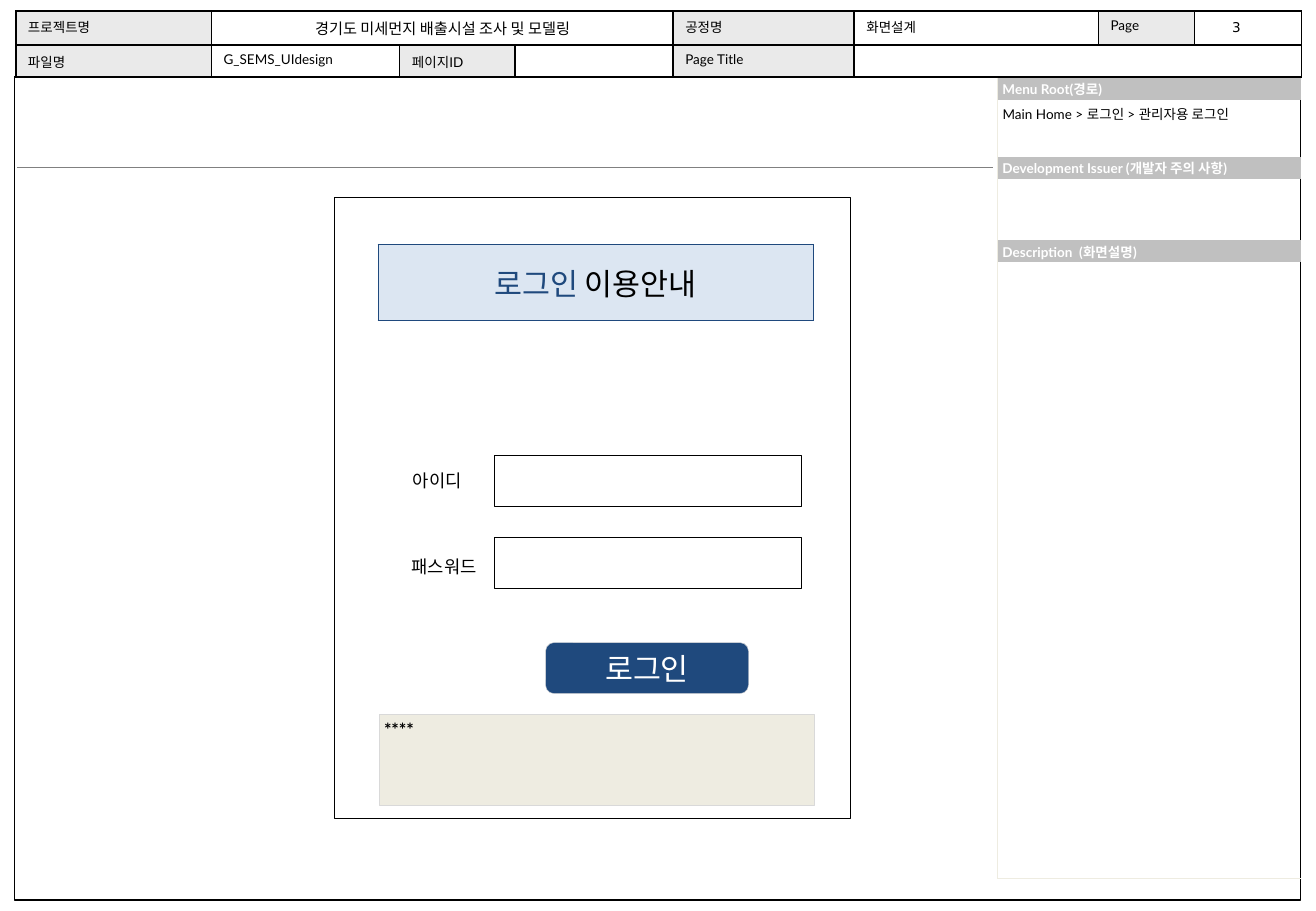
from lxml.etree import SubElement
from pptx import Presentation
from pptx.dml.color import RGBColor
from pptx.enum.shapes import MSO_CONNECTOR, MSO_SHAPE
from pptx.enum.text import MSO_ANCHOR, MSO_AUTO_SIZE, PP_ALIGN
from pptx.oxml.ns import qn
from pptx.util import Inches, Pt

BLACK = RGBColor(0x00, 0x00, 0x00)
WHITE = RGBColor(0xFF, 0xFF, 0xFF)
NAVY = RGBColor(0x1F, 0x49, 0x7D)
PALE_BLUE = RGBColor(0xDC, 0xE6, 0xF2)
BEIGE = RGBColor(0xEE, 0xEC, 0xE1)
LABEL_GRAY = RGBColor(0xEA, 0xEA, 0xEA)
HEADING_GRAY = RGBColor(0xC0, 0xC0, 0xC0)
EDGE_GRAY = RGBColor(0xD9, 0xD9, 0xD9)
RULE_GRAY = RGBColor(0x80, 0x80, 0x80)

LATIN = "Lato"
KOREAN = "Noto Sans CJK KR"
NUMERAL = "DejaVu Sans"
SIDES = ("L", "R", "T", "B")


class Screen:
    inset = Inches(0.04)

    def __init__(self, slide):
        self.slide = slide

    def fill_text(self, frame, text, size, font=LATIN, color=BLACK, bold=False,
                  align=PP_ALIGN.LEFT, spacing=None):
        paragraph = frame.paragraphs[0]
        paragraph.text = text
        paragraph.alignment = align
        if spacing:
            paragraph.line_spacing = spacing
        paragraph.font.name = font
        paragraph.font.size = Pt(size)
        paragraph.font.bold = bold
        paragraph.font.color.rgb = color
        return paragraph

    def tighten(self, holder):
        holder.margin_left = holder.margin_right = self.inset
        holder.margin_top = holder.margin_bottom = self.inset

    def box(self, left, top, width, height, fill=None, line=BLACK, weight=0.25,
            preset=MSO_SHAPE.RECTANGLE):
        shape = self.slide.shapes.add_shape(
            preset, Inches(left), Inches(top), Inches(width), Inches(height))
        shape.shadow.inherit = False
        if fill is None:
            shape.fill.background()
        else:
            shape.fill.solid()
            shape.fill.fore_color.rgb = fill
        shape.line.color.rgb = line
        shape.line.width = Pt(weight)
        self.tighten(shape.text_frame)
        return shape

    def label(self, left, top, width, height, text, size, font, tight=False,
              wrap=True, spacing=None):
        frame = self.slide.shapes.add_textbox(
            Inches(left), Inches(top), Inches(width), Inches(height)).text_frame
        frame.word_wrap = wrap
        frame.auto_size = MSO_AUTO_SIZE.SHAPE_TO_FIT_TEXT
        if tight:
            self.tighten(frame)
        self.fill_text(frame, text, size, font, spacing=spacing)

    def rule(self, left, top, right, color, weight):
        line = self.slide.shapes.add_connector(
            MSO_CONNECTOR.STRAIGHT, Inches(left), Inches(top), Inches(right), Inches(top))
        line.line.color.rgb = color
        line.line.width = Pt(weight)
        SubElement(line._element.spPr, qn("a:effectLst"))

    def table(self, left, top, columns, rows):
        table = self.slide.shapes.add_table(
            len(rows), len(columns), Inches(left), Inches(top),
            Inches(sum(columns)), Inches(sum(rows))).table
        table.first_row = table.horz_banding = False
        for column, width in zip(table.columns, columns):
            column.width = Inches(width)
        for row, height in zip(table.rows, rows):
            row.height = Inches(height)
        return table

    def cell(self, cell, fill, sides, color, weight):
        properties = cell._tc.get_or_add_tcPr()
        for side in SIDES:
            border = SubElement(properties, qn(f"a:ln{side}"), w=str(Pt(weight)))
            if side in sides:
                solid = SubElement(border, qn("a:solidFill"))
                SubElement(solid, qn("a:srgbClr"), val=str(color))
            else:
                SubElement(border, qn("a:noFill"))
        if fill is None:
            cell.fill.background()
        else:
            cell.fill.solid()
            cell.fill.fore_color.rgb = fill


def draw_project_header(screen):
    texts = (
        ("프로젝트명", "경기도 미세먼지 배출시설 조사 및 모델링", "", "",
         "공정명", "화면설계", "Page", ""),
        ("파일명", "G_SEMS_UIdesign", "페이지ID", "", "Page Title", "", "", ""),
    )
    labels = {"프로젝트명", "공정명", "Page", "파일명", "페이지ID", "Page Title"}
    header = screen.table(0.13, 0.09, (1.61, 1.55, 0.95, 1.3, 1.49, 2.01, 0.79, 0.88),
                          (0.28, 0.26))
    for row, row_texts in enumerate(texts):
        for column, text in enumerate(row_texts):
            cell = header.cell(row, column)
            screen.cell(cell, LABEL_GRAY if text in labels else None, SIDES, BLACK, 1)
            project = (row, column) == (0, 1)
            screen.fill_text(cell.text_frame, text, 9 if project else 8,
                             align=PP_ALIGN.CENTER if project else PP_ALIGN.LEFT)
    header.cell(0, 1).merge(header.cell(0, 3))
    header.cell(1, 5).merge(header.cell(1, 7))


def draw_side_panel(screen):
    headings = ("Menu Root(경로)", "", "Development Issuer (개발자 주의 사항)", "",
                "Description  (화면설명)", "")
    panel = screen.table(8.21, 0.64, (2.5,), (0.18, 0.47, 0.18, 0.51, 0.18, 5.07))
    for row, heading in enumerate(headings):
        cell = panel.cell(row, 0)
        sides = "LB" if row == len(headings) - 1 else "L"
        screen.cell(cell, HEADING_GRAY if heading else None, sides, BEIGE, 0.25)
        screen.tighten(cell)
        cell.vertical_anchor = MSO_ANCHOR.MIDDLE
        screen.fill_text(cell.text_frame, heading, 8, color=WHITE, bold=True, spacing=0.75)


def draw_login_form(screen):
    screen.box(2.75, 1.62, 4.25, 5.12)

    banner = screen.table(3.11, 2.01, (3.58,), (0.63,)).cell(0, 0)
    screen.cell(banner, PALE_BLUE, SIDES, NAVY, 0.25)
    banner.vertical_anchor = MSO_ANCHOR.MIDDLE
    guide = screen.fill_text(banner.text_frame, "로그인", 18, KOREAN, align=PP_ALIGN.CENTER)
    guide.runs[0].font.color.rgb = NAVY
    guide_rest = guide.add_run()
    guide_rest.text = " 이용안내"
    guide_rest.font.color.rgb = BLACK

    for field, field_top, left, top in (("아이디", 3.75, 3.3, 3.82),
                                        ("패스워드", 4.42, 3.29, 4.53)):
        screen.box(4.07, field_top, 2.52, 0.42)
        screen.label(left, top, 0.91, 0.28, field, 10.5, KOREAN)

    button = screen.box(4.49, 5.29, 1.67, 0.42, NAVY, EDGE_GRAY,
                        preset=MSO_SHAPE.ROUNDED_RECTANGLE).text_frame
    button.vertical_anchor = MSO_ANCHOR.MIDDLE
    screen.fill_text(button, "로그인", 18, KOREAN, WHITE, align=PP_ALIGN.CENTER)

    notice = screen.box(3.12, 5.88, 3.58, 0.75, BEIGE, EDGE_GRAY).text_frame
    notice.vertical_anchor = MSO_ANCHOR.TOP
    screen.fill_text(notice, "****", 10.5, bold=True)


def main():
    deck = Presentation()
    deck.slide_width, deck.slide_height = Inches(10.83), Inches(7.5)
    screen = Screen(deck.slides.add_slide(deck.slide_layouts[6]))
    draw_project_header(screen)
    screen.box(0.12, 0.63, 10.58, 6.78, weight=0.75)
    screen.label(10.1, 0.05, 0.27, 0.25, "3", 8, NUMERAL, tight=True, wrap=False, spacing=1.5)
    draw_side_panel(screen)
    screen.rule(0.14, 1.38, 8.17, RULE_GRAY, 0.75)
    draw_login_form(screen)
    screen.label(8.21, 0.81, 2.48, 0.23, "Main Home > 로그인 > 관리자용 로그인", 8, LATIN,
                 tight=True, spacing=1.2)
    deck.save("out.pptx")


if __name__ == "__main__":
    main()
